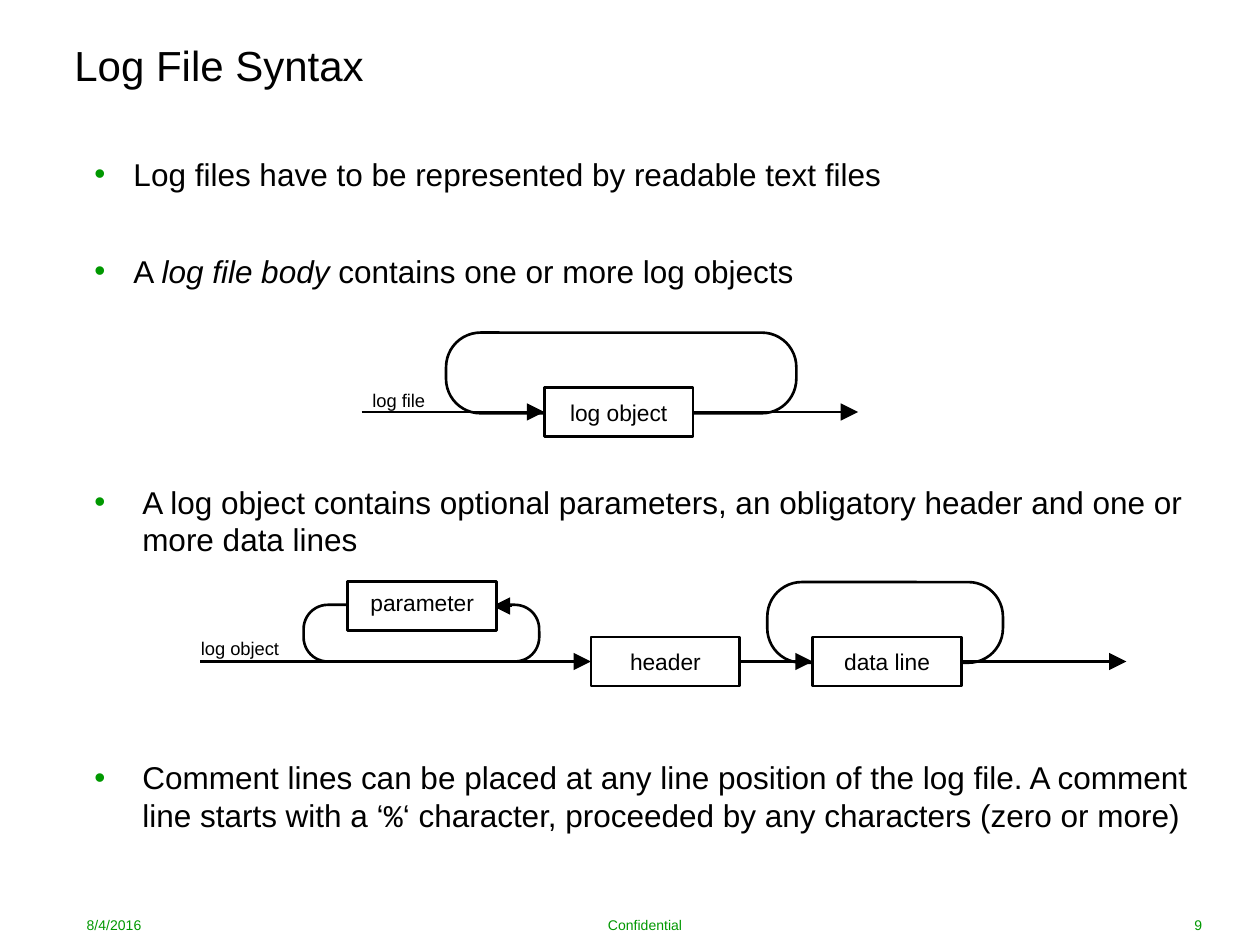
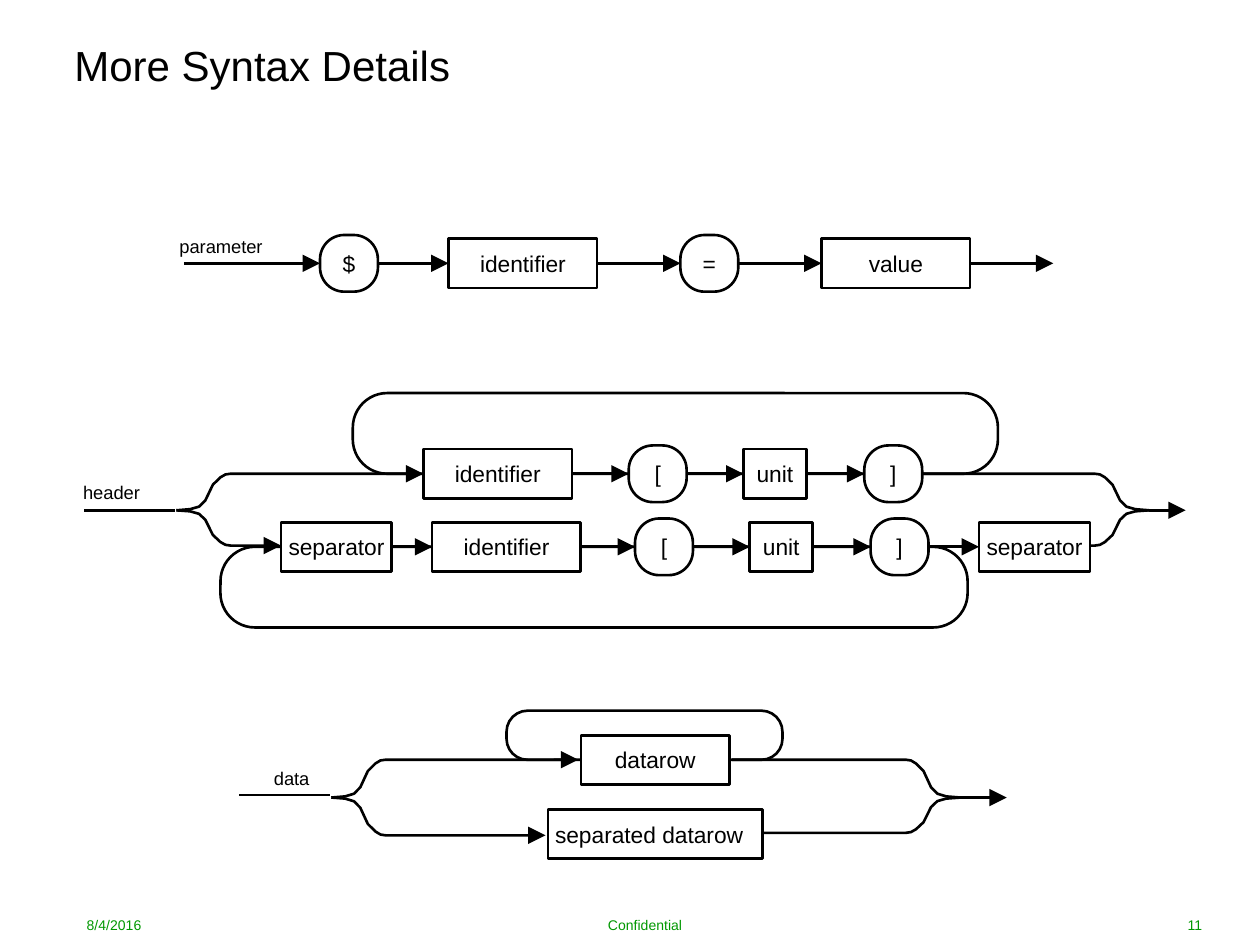
from pptx import Presentation
from pptx.enum import shapes, text
from pptx.dml.color import RGBColor
from pptx.oxml import ns
from pptx.util import Inches, Pt
from lxml import etree

COLORS = {"ink": "000000", "paper": "FFFFFF", "accent": "009800"}
FONT, CODE_FONT = "Arial", "Courier New"
BOX_WIDTHS = {"unit": 0.5, "separator": 0.88, "separated datarow": 1.7}
BOX_WIDTH, BOX_HEIGHT = 1.18, 0.39
SYMBOLS, SYMBOL_WIDTH, SYMBOL_HEIGHT = "$=[]", 0.46, 0.45
LABEL_INSETS = {"parameter": (0, 0.06), "separated datarow": (0.1, 0)}
LEFT, CENTER, RIGHT = text.PP_ALIGN.LEFT, text.PP_ALIGN.CENTER, text.PP_ALIGN.RIGHT
TOP, MIDDLE = text.MSO_ANCHOR.TOP, text.MSO_ANCHOR.MIDDLE

BRANCH_POINTS = [(0.11, 0.03), (0.18, 0.1), (0.23, 0.27), (0.29, 0.7),
                 (0.35, 0.9), (0.39, 0.98), (0.43, 1)]

SLIDES = [
    {
        "title": "Log File Syntax",
        "number": "9",
        "bullets": [
            (1.23, 0.31, [("Log files have to be represented by readable text files", "")]),
            (2, 0.31, [("A ", ""), ("log file body ", "italic"),
                       ("contains one or more log objects", "")]),
            (3.83, 0.38, [("A log object contains optional parameters, an obligatory "
                           "header and one or more data lines", "")]),
            (6.02, 0.38, [("Comment lines can be placed at any line position of the log "
                           "file. A comment line starts with a ‘", ""), ("%", "code"),
                          ("‘ character, proceeded by any characters (zero or more)", "")]),
        ],
        "loops": [(3.54, 2.64, 2.78, 0.64), (2.41, 4.8, 1.87, 0.45), (6.09, 4.62, 1.87, 0.64)],
        "branches": [],
        "rows": [
            {"y": 3.27, "start": 2.87, "nodes": [("log object", 4.32)], "end": 6.81},
            {"y": 4.81, "nodes": [("parameter", 2.76)]},
            {"y": 5.25, "start": 1.59, "nodes": [("header", 4.69), ("data line", 6.45)],
             "end": 8.94},
        ],
        "lines": [(4.06, 3.91, 4.81, True)],
        "labels": [("log file", 2.87, 3.09), ("log object", 1.61, 5.06)],
    },
    {
        "title": "More Syntax Details",
        "number": "11",
        "bullets": [],
        "loops": [(2.8, 3.12, 5.12, 0.64), (1.75, 4.34, 5.93, 0.64), (4.02, 5.64, 2.19, 0.39)],
        "branches": [
            (1.4, 4.05, 3.36, 3.76, True), (1.4, 4.05, 2.23, 4.33, True),
            (9.12, 4.05, 7.31, 3.76, False), (9.12, 4.05, 8.58, 4.33, False),
            (2.63, 6.33, 4.59, 6.03, True), (2.63, 6.33, 4.33, 6.63, True),
            (7.62, 6.33, 5.81, 6.03, False), (7.62, 6.33, 5.81, 6.61, False),
        ],
        "rows": [
            {"y": 2.09, "start": 1.46, "end": 8.36,
             "nodes": [("$", 2.54), ("identifier", 3.56), ("=", 5.4), ("value", 6.52)]},
            {"y": 3.76,
             "nodes": [("identifier", 3.36), ("[", 4.99), ("unit", 5.9), ("]", 6.86)]},
            {"y": 4.34,
             "nodes": [("separator", 2.23), ("identifier", 3.43), ("[", 5.04),
                       ("unit", 5.95), ("]", 6.91), ("separator", 7.77)]},
            {"y": 6.03, "nodes": [("datarow", 4.61)]},
            {"y": 6.62, "nodes": [("separated datarow", 4.35)]},
        ],
        "lines": [(0.67, 1.39, 4.05, False), (9.12, 9.41, 4.05, True),
                  (1.9, 2.62, 6.31, False), (7.59, 7.99, 6.33, True)],
        "labels": [("parameter", 1.46, 1.87), ("header", 0.59, 3.82), ("data", 2.02, 6.09)],
    },
]


def color(name):
    return RGBColor.from_string(COLORS[name])


def set_frame(frame, anchor, insets=(0, 0, 0, 0), wrap=True):
    frame.auto_size = text.MSO_AUTO_SIZE.NONE
    frame.word_wrap = wrap
    frame.vertical_anchor = anchor
    frame.margin_left, frame.margin_top, frame.margin_right, frame.margin_bottom = map(
        Inches, insets)


def add_run(paragraph, words, size, ink="ink", style=""):
    run = paragraph.add_run()
    run.text = words
    run.font.size = Pt(size)
    run.font.name = CODE_FONT if style == "code" else FONT
    run.font.italic = style == "italic"
    run.font.color.rgb = color(ink)


def write(shape, words, size, align, ink="ink"):
    paragraph = shape.text_frame.paragraphs[0]
    paragraph.alignment = align
    add_run(paragraph, words, size, ink)


def style_line(shape, arrow=False):
    shape.line.color.rgb = color("ink")
    shape.line.width = Pt(1.5)
    if arrow:
        line = shape.element.spPr.find(ns.qn("a:ln"))
        etree.SubElement(line, ns.qn("a:tailEnd"), type="triangle", w="lg", len="lg")


def add_title(slide, words):
    title = slide.shapes.title
    title.left, title.top, title.width, title.height = map(Inches, (0.59, 0.2, 7.09, 0.63))
    set_frame(title.text_frame, MIDDLE)
    write(title, words, 24, LEFT)


def add_footer(slide, number):
    for words, left, width, align in [("8/4/2016", 0.59, 1.57, LEFT),
                                      ("Confidential", 2.56, 5.12, CENTER),
                                      (number, 8.07, 1.57, RIGHT)]:
        box = slide.shapes.add_textbox(*map(Inches, (left, 7.24, width, 0.2)))
        set_frame(box.text_frame, MIDDLE, (0.1, 0.05, 0.1, 0.05))
        write(box, words, 8, align, "accent")


def add_bullet(slide, top, indent, runs):
    box = slide.shapes.add_textbox(*map(Inches, (0.75, top, 9.06, 0.56)))
    set_frame(box.text_frame, TOP)
    paragraph = box.text_frame.paragraphs[0]
    paragraph.space_before, paragraph.space_after = Pt(3), Pt(6)
    properties = paragraph._p.get_or_add_pPr()
    properties.set("marL", str(Inches(indent)))
    properties.set("indent", str(-Inches(indent)))
    bullet_color = etree.SubElement(properties, ns.qn("a:buClr"))
    etree.SubElement(bullet_color, ns.qn("a:srgbClr"), val=COLORS["accent"])
    etree.SubElement(properties, ns.qn("a:buFont"), typeface=FONT)
    etree.SubElement(properties, ns.qn("a:buChar"), char="•")
    for words, style in runs:
        add_run(paragraph, words, 18, style=style)


def add_label(slide, words, left, top):
    box = slide.shapes.add_textbox(*map(Inches, (left, top, 0.59, 0.14)))
    set_frame(box.text_frame, TOP, wrap=False)
    write(box, words, 10.5, CENTER)


def add_outline(slide, preset, left, top, width, height):
    shape = slide.shapes.add_shape(preset, *map(Inches, (left, top, width, height)))
    shape.shadow.inherit = False
    if preset == shapes.MSO_SHAPE.ROUNDED_RECTANGLE:
        shape.adjustments[0] = 0.428
    shape.fill.background()
    style_line(shape)
    return shape


def add_node(slide, words, left, middle):
    if words in SYMBOLS:
        preset, width, height = shapes.MSO_SHAPE.ROUNDED_RECTANGLE, SYMBOL_WIDTH, SYMBOL_HEIGHT
    else:
        preset = shapes.MSO_SHAPE.RECTANGLE
        width, height = BOX_WIDTHS.get(words, BOX_WIDTH), BOX_HEIGHT
    node = add_outline(slide, preset, left, middle - height / 2, width, height)
    node.fill.solid()
    node.fill.fore_color.rgb = color("paper")
    right, bottom = LABEL_INSETS.get(words, (0, 0))
    set_frame(node.text_frame, MIDDLE, (0, 0, right, bottom))
    write(node, words, 13, CENTER)
    return node


def add_line(slide, start, end, y, arrow=True, source=None, target=None):
    line = slide.shapes.add_connector(
        shapes.MSO_CONNECTOR.STRAIGHT, *map(Inches, (start, y, end, y)))
    style_line(line, arrow)
    etree.SubElement(line.element.spPr, ns.qn("a:effectLst"))
    if source is not None:
        line.begin_connect(source, 3)
    if target is not None:
        line.end_connect(target, 1)


def add_row(slide, row):
    y = row["y"]
    nodes = [add_node(slide, words, left, y) for words, left in row["nodes"]]
    if "start" in row:
        add_line(slide, row["start"], row["nodes"][0][1], y, target=nodes[0])
    for source, target in zip(nodes, nodes[1:]):
        add_line(slide, 0, 1, y, source=source, target=target)
    if "end" in row:
        add_line(slide, 0, row["end"], y, source=nodes[-1])


def add_branch(slide, fork_x, fork_y, end_x, end_y, arrow):
    direction = 1 if end_x > fork_x else -1
    points = [(Inches(fork_x + direction * dx), Inches(fork_y + (end_y - fork_y) * rise))
              for dx, rise in BRANCH_POINTS]
    points.append((Inches(end_x), Inches(end_y)))
    builder = slide.shapes.build_freeform(Inches(fork_x), Inches(fork_y))
    builder.add_line_segments(points, close=False)
    branch = builder.convert_to_shape()
    branch.shadow.inherit = False
    branch.fill.background()
    style_line(branch, arrow)


def build_slide(presentation, content):
    slide = presentation.slides.add_slide(presentation.slide_layouts[5])
    add_title(slide, content["title"])
    for bullet in content["bullets"]:
        add_bullet(slide, *bullet)
    for loop in content["loops"]:
        add_outline(slide, shapes.MSO_SHAPE.ROUNDED_RECTANGLE, *loop)
    for branch in content["branches"]:
        add_branch(slide, *branch)
    for line in content["lines"]:
        add_line(slide, *line)
    for row in content["rows"]:
        add_row(slide, row)
    for label in content["labels"]:
        add_label(slide, *label)
    add_footer(slide, content["number"])


def main():
    presentation = Presentation()
    presentation.slide_width, presentation.slide_height = Inches(10), Inches(7.5)
    for content in SLIDES:
        build_slide(presentation, content)
    presentation.save("out.pptx")


if __name__ == "__main__":
    main()
